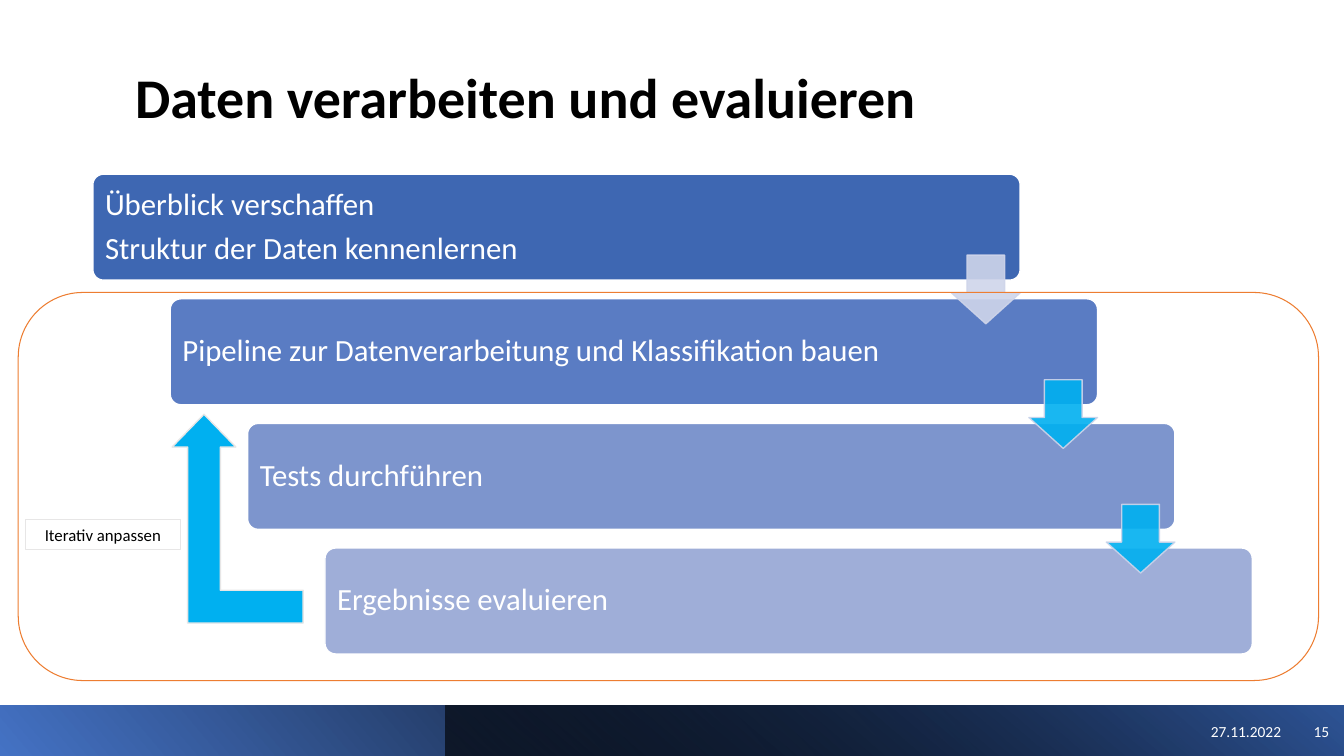
from dataclasses import dataclass

from lxml import etree
from pptx import Presentation
from pptx.dml.color import RGBColor
from pptx.enum.shapes import MSO_SHAPE
from pptx.enum.text import MSO_ANCHOR, MSO_AUTO_SIZE, PP_ALIGN
from pptx.oxml.ns import qn
from pptx.util import Cm, Pt

RECT = MSO_SHAPE.RECTANGLE
ROUND = MSO_SHAPE.ROUNDED_RECTANGLE
DOWN = MSO_SHAPE.DOWN_ARROW
BENT = MSO_SHAPE.BENT_UP_ARROW
LEFT, CENTER, RIGHT = PP_ALIGN.LEFT, PP_ALIGN.CENTER, PP_ALIGN.RIGHT
MIDDLE, BOTTOM = MSO_ANCHOR.MIDDLE, MSO_ANCHOR.BOTTOM


@dataclass(frozen=True)
class Theme:
    font: str = "Calibri"
    title: int = 40
    step: int = 22
    label: int = 12
    foot: int = 11
    black: str = "000000"
    white: str = "FFFFFF"
    blue: str = "4472C4"
    navy: str = "2F5597"
    cyan: str = "00B0F0"
    pale: str = "CFD5EA"
    grey: str = "E7E6E6"
    orange: str = "ED7D31"


THEME = Theme()
STEPS = [
    ("3E67B2", ["Überblick verschaffen", "Struktur der Daten kennenlernen"]),
    ("5A7CC3", ["Pipeline zur Datenverarbeitung und Klassifikation bauen"]),
    ("7D95CD", ["Tests durchführen"]),
    ("9FAED8", ["Ergebnisse evaluieren"]),
]
ARROWS = [THEME.pale, THEME.cyan, THEME.cyan]
STEP_X, STEP_Y, STEP_W, STEP_H = 2.34, 4.39, 23.37, 2.67
SHIFT_X, SHIFT_Y = 1.95, 3.14
ARROW = 1.73
ARROW_DY = 2.04


def rgb(code):
    return RGBColor.from_string(code)


def write(frame, lines, size, color, align=LEFT, anchor=MIDDLE):
    frame.word_wrap = True
    frame.auto_size = MSO_AUTO_SIZE.NONE
    frame.vertical_anchor = anchor
    frame.text = "\n".join(lines)
    for par in frame.paragraphs:
        par.alignment = align
        par.font.name = THEME.font
        par.font.size = Pt(size)
        par.font.color.rgb = rgb(color)


def add_shape(slide, kind, box, fill=None, line=None, width=1, adjust=()):
    shape = slide.shapes.add_shape(kind, *map(Cm, box))
    shape.shadow.inherit = False
    if fill:
        shape.fill.solid()
        shape.fill.fore_color.rgb = rgb(fill)
    else:
        shape.fill.background()
    if line:
        shape.line.color.rgb = rgb(line)
        shape.line.width = Pt(width)
    else:
        shape.line.fill.background()
    for i, value in enumerate(adjust):
        shape.adjustments[i] = value
    return shape


def flip(shape):
    """Mirror the shape from left to right."""
    shape.element.spPr.xfrm.set("flipH", "1")


def fade(colors, percent):
    """Set the opacity of colour elements."""
    for color in colors:
        alpha = etree.SubElement(color, qn("a:alpha"))
        alpha.set("val", str(percent * 1000))


def add_bar(slide, box, stops, angle):
    """Add a mirrored gradient bar; the angle runs clockwise."""
    bar = add_shape(slide, RECT, box)
    bar.fill.gradient()
    bar.fill.gradient_angle = 360 - angle
    for stop, (place, color) in zip(bar.fill.gradient_stops, stops):
        stop.position = place
        stop.color.rgb = rgb(color)
    flip(bar)
    return bar


def add_title(slide, text):
    title = slide.shapes.title
    title.left, title.top = Cm(3.15), Cm(1.4)
    title.width, title.height = Cm(26.92), Cm(2.03)
    write(title.text_frame, [text], THEME.title, THEME.black, anchor=BOTTOM)
    par = title.text_frame.paragraphs[0]
    par.font.bold = True
    par.line_spacing = 0.9


def add_note(slide, left, width, text):
    """Add a right-aligned text to the footer."""
    box = slide.shapes.add_textbox(Cm(left), Cm(17.93), Cm(width), Cm(1.02))
    write(box.text_frame, [text], THEME.foot, THEME.white, RIGHT)
    box.text_frame.paragraphs[0].space_after = Pt(6)


def add_footer(slide):
    lower = add_bar(slide, (0, 17.78, 33.87, 1.27),
                    [(0, THEME.blue), (0.78, THEME.black)], 40)
    lower.rotation = 180
    upper = add_bar(slide, (11.22, 17.78, 22.65, 1.27),
                    [(0, THEME.black), (1, THEME.navy)], 230)
    first = next(upper.element.spPr.iter(qn("a:srgbClr")))
    fade([first], 63)
    add_note(slide, 24.92, 7.62, "27.11.2022")
    add_note(slide, 32.51, 1.24, "15")


def add_step(slide, i, color, lines):
    box = (STEP_X + i * SHIFT_X, STEP_Y + i * SHIFT_Y, STEP_W, STEP_H)
    step = add_shape(slide, ROUND, box, color, THEME.white, adjust=[0.1])
    frame = step.text_frame
    write(frame, lines, THEME.step, THEME.white)
    frame.margin_left = frame.margin_right = Cm(0.23)
    frame.margin_top = frame.margin_bottom = Cm(0.23)
    for par in frame.paragraphs:
        par.line_spacing = 0.9
        par.space_after = Pt(0.35 * THEME.step)


def add_arrow(slide, i, color):
    """Add the arrow from step i to the next one."""
    left = STEP_X + STEP_W - ARROW + i * SHIFT_X
    top = STEP_Y + ARROW_DY + i * SHIFT_Y
    arrow = add_shape(slide, DOWN, (left, top, ARROW, ARROW), color,
                      THEME.pale, adjust=[0.55, 0.45])
    fade(arrow.element.spPr.iter(qn("a:srgbClr")), 90)


def add_loop(slide):
    """Add the way back, its label and the frame around the loop."""
    back = add_shape(slide, BENT, (4.34, 10.44, 3.3, 5.26), THEME.cyan,
                     THEME.grey, adjust=[0.25, 0.243, 0.25])
    flip(back)
    label = add_shape(slide, RECT, (0.64, 13.08, 3.91, 0.77),
                      line=THEME.grey, width=0.75)
    write(label.text_frame, ["Iterativ anpassen"], THEME.label,
          THEME.black, CENTER)
    add_shape(slide, ROUND, (0.46, 7.37, 32.77, 9.78),
              line=THEME.orange, width=0.75)


def main():
    deck = Presentation()
    deck.slide_width, deck.slide_height = Cm(33.87), Cm(19.05)
    slide = deck.slides.add_slide(deck.slide_layouts[5])
    add_title(slide, "Daten verarbeiten und evaluieren")
    add_footer(slide)
    for i, (color, lines) in enumerate(STEPS):
        add_step(slide, i, color, lines)
    for i, color in enumerate(ARROWS):
        add_arrow(slide, i, color)
    add_loop(slide)
    deck.save("out.pptx")


if __name__ == "__main__":
    main()
